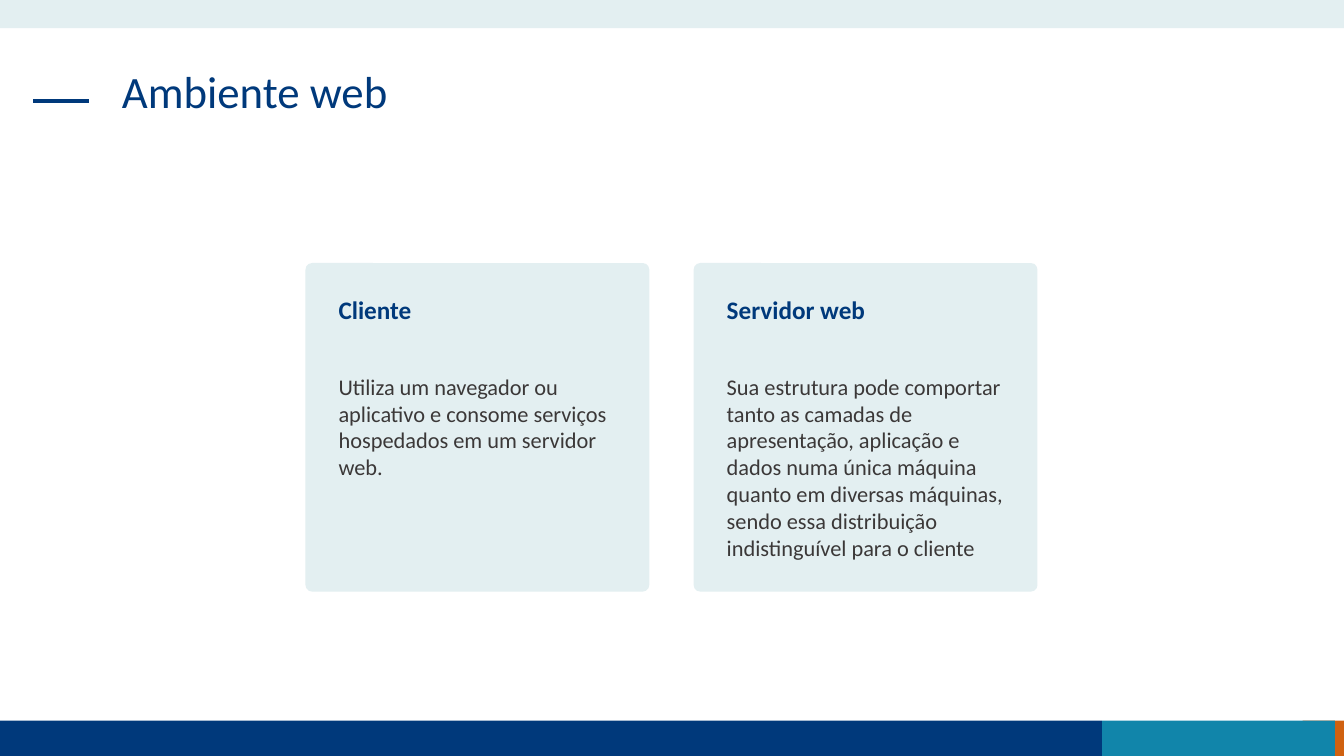
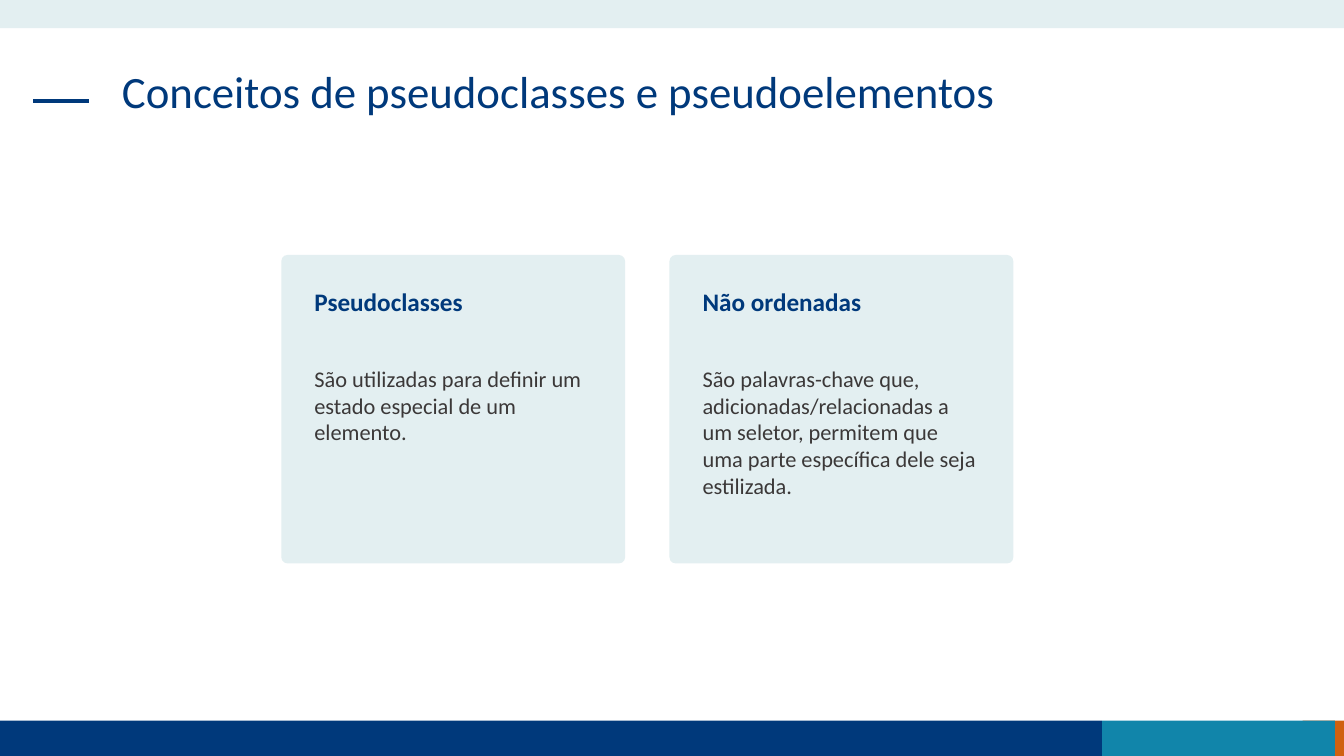
from lxml.etree import SubElement
from pptx import Presentation
from pptx.dml.color import RGBColor
from pptx.enum.shapes import MSO_CONNECTOR, MSO_SHAPE
from pptx.enum.text import MSO_ANCHOR, MSO_AUTO_SIZE, PP_ALIGN
from pptx.oxml.ns import qn
from pptx.util import Inches, Pt

# Each card: heading, text, height of the text
SLIDES = [
    {"title": "Ambiente web", "left": 3.03, "top": 2.61, "height": 3.26,
     "cards": [
         ("Cliente",
          "Utiliza um navegador ou aplicativo e consome serviços hospedados "
          "em um servidor web.", 1.18),
         ("Servidor web",
          "Sua estrutura pode comportar tanto as camadas de apresentação, "
          "aplicação e dados numa única máquina quanto em diversas máquinas, "
          "sendo essa distribuição indistinguível para o cliente", 1.99),
     ]},
    {"title": "Conceitos de pseudoclasses e pseudoelementos",
     "left": 2.79, "top": 2.53, "height": 3.06,
     "cards": [
         ("Pseudoclasses",
          "São utilizadas para definir um estado especial de um elemento.", 0.91),
         ("Não ordenadas",
          "São palavras-chave que, adicionadas/relacionadas a um seletor, "
          "permitem que uma parte específica dele seja estilizada.", 1.45),
     ]},
]

COLORS = {"navy": "00397B", "teal": "1185AA", "orange": "D06110",
          "pale": "E3EFF1", "text": "3B3838"}
BANDS = [  # left, top, width, height, colour
    (12.92, 7.15, 0.41, 0.35, "orange"),
    (0, 7.15, 10.93, 0.35, "navy"),
    (10.93, 7.15, 2.31, 0.35, "teal"),
    (0, 0, 13.33, 0.28, "pale"),
]
TITLE_BOX = (1.11, 0.64, 11.1, 0.94)
TITLE = {"name": "Calibri", "size": Pt(32), "bold": False}
HEADING = {"name": "Calibri", "size": Pt(18), "bold": True}
BODY = {"name": "Calibri", "size": Pt(16), "bold": False}

CARD_W, CARD_GAP, PAD = 3.41, 0.44, 0.23
TEXT_W = 2.96
HEADING_Y, HEADING_H, BODY_Y = 0.26, 0.4, 1.04


def color(name):
    return RGBColor.from_string(COLORS[name])


def write(tf, text, style, color_name):
    p = tf.paragraphs[0]
    r = p.add_run()
    r.text = text
    for key, value in style.items():
        setattr(r.font, key, value)
    r.font.color.rgb = color(color_name)
    return p


def add_box(shapes, kind, box, fill):
    sp = shapes.add_shape(kind, *map(Inches, box))
    sp.shadow.inherit = False
    sp.fill.solid()
    sp.fill.fore_color.rgb = color(fill)
    sp.line.fill.background()
    return sp


def add_text(shapes, box, text, style, color_name):
    tf = shapes.add_textbox(*map(Inches, box)).text_frame
    tf.word_wrap = True
    tf.auto_size = MSO_AUTO_SIZE.SHAPE_TO_FIT_TEXT
    write(tf, text, style, color_name)


def prepare_layout(layout):
    """Keep only the title placeholder, moved to its place."""
    for ph in list(layout.placeholders):
        if ph.placeholder_format.idx:
            ph.element.getparent().remove(ph.element)
            continue
        ph.left, ph.top, ph.width, ph.height = map(Inches, TITLE_BOX)
        ph.text_frame.vertical_anchor = MSO_ANCHOR.TOP
        ph.text_frame.auto_size = MSO_AUTO_SIZE.NONE


def decorate_layout(layout, slide):
    """Draw the bands and title dash on a slide, then move them to its layout."""
    parts = [add_box(slide.shapes, MSO_SHAPE.RECTANGLE, box, fill)
             for *box, fill in BANDS]
    dash = slide.shapes.add_connector(
        MSO_CONNECTOR.STRAIGHT, *map(Inches, (0.33, 1, 0.88, 1)))
    dash.line.color.rgb = color("navy")
    dash.line.width = Pt(3)
    SubElement(dash.element.spPr, qn("a:effectLst"))
    for sp in parts + [dash]:
        layout.shapes.element.append(sp.element)


def add_card(shapes, left, top, height, card):
    heading, text, text_h = card
    sp = add_box(shapes, MSO_SHAPE.ROUNDED_RECTANGLE,
                 (left, top, CARD_W, height), "pale")
    sp.adjustments[0] = 0.02
    x = left + PAD
    add_text(shapes, (x, top + HEADING_Y, TEXT_W, HEADING_H),
             heading, HEADING, "navy")
    add_text(shapes, (x, top + BODY_Y, TEXT_W, text_h), text, BODY, "text")


def main():
    prs = Presentation()
    prs.slide_width, prs.slide_height = Inches(13.33), Inches(7.5)
    layout = prs.slide_layouts.get_by_name("Title Only")
    prepare_layout(layout)
    for i, content in enumerate(SLIDES):
        slide = prs.slides.add_slide(layout)
        if i == 0:
            decorate_layout(layout, slide)
        p = write(slide.shapes.title.text_frame, content["title"], TITLE, "navy")
        p.alignment = PP_ALIGN.LEFT
        p.line_spacing = 0.9
        for n, card in enumerate(content["cards"]):
            group = slide.shapes.add_group_shape()
            add_card(group.shapes, content["left"] + n * (CARD_W + CARD_GAP),
                     content["top"], content["height"], card)
    prs.save("out.pptx")


if __name__ == "__main__":
    main()
